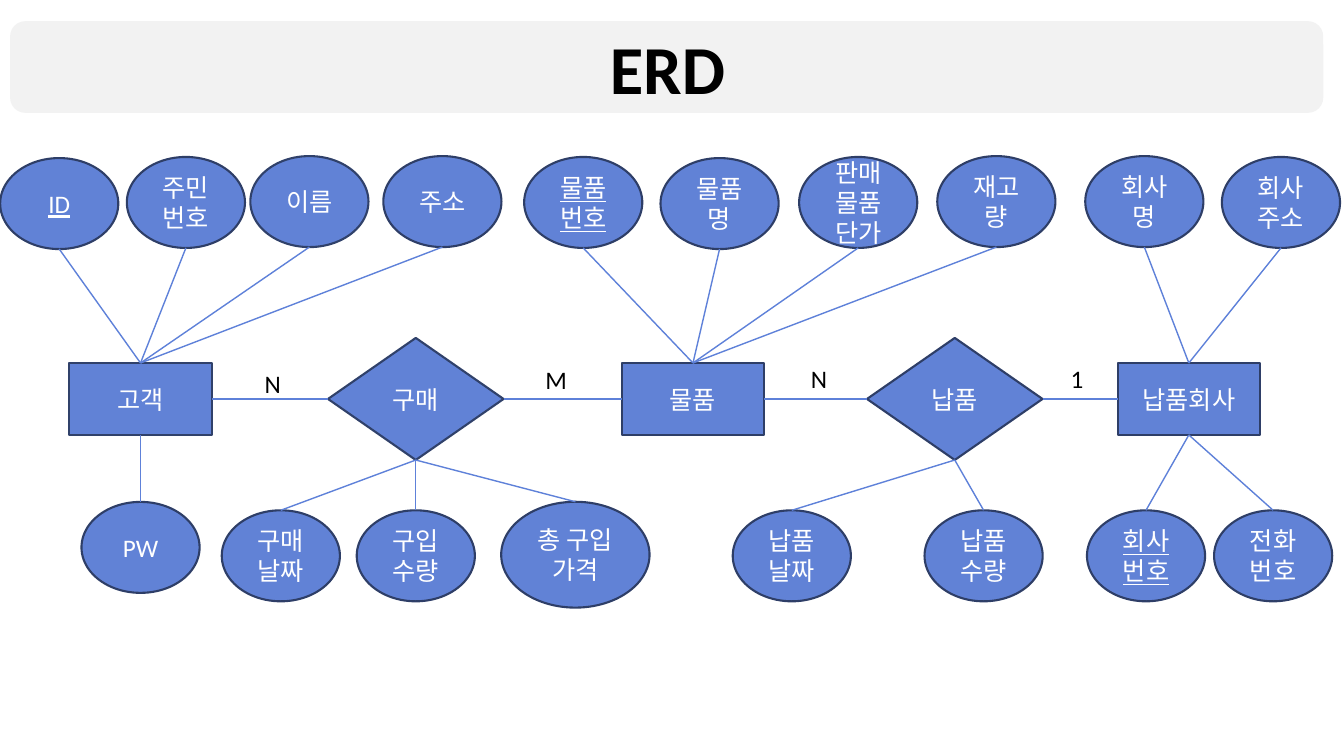
from pptx import Presentation
from pptx import util as u
from pptx.dml.color import RGBColor
from pptx.enum import shapes, text
from lxml import etree

Pt = u.Pt
KIND = shapes.MSO_SHAPE
TOP, LEFT, BOTTOM, RIGHT = range(4)
BLUE, EDGE, LINK = "6182D6", "2E3E67", "5E81D9"
AXIS_Y = 285

deck = Presentation()
deck.slide_width, deck.slide_height = Pt(960), Pt(540)
slide = deck.slides.add_slide(deck.slide_layouts[6])


def rgb(value):
    return RGBColor.from_string(value)


def write(frame, words, size=18, color="FFFFFF", bold=False, underline=False,
          anchor=text.MSO_ANCHOR.MIDDLE, grow=False):
    frame.word_wrap = True
    frame.vertical_anchor = anchor
    if grow:
        frame.auto_size = text.MSO_AUTO_SIZE.SHAPE_TO_FIT_TEXT
    line = frame.paragraphs[0]
    line.alignment = text.PP_ALIGN.CENTER
    run = line.add_run()
    run.text = words
    run.font.name = "Calibri"
    run.font.size = Pt(size)
    run.font.bold = bold
    run.font.underline = underline
    run.font.color.rgb = rgb(color)


banner = slide.shapes.add_shape(KIND.ROUNDED_RECTANGLE, Pt(7.2), Pt(15.1), Pt(938), Pt(65.5))
banner.shadow.inherit = False
banner.fill.solid()
banner.fill.fore_color.rgb = rgb("F2F2F2")
banner.line.fill.background()

nodes = [
    (KIND.RECTANGLE, "고객", 100.4, AXIS_Y, 101.6, 51.4),
    (KIND.FLOWCHART_DECISION, "구매", 297, AXIS_Y, 125.4, 87.2),
    (KIND.RECTANGLE, "물품", 495, AXIS_Y, 101.6, 51.4),
    (KIND.FLOWCHART_DECISION, "납품", 682, AXIS_Y, 125.4, 87.2),
    (KIND.RECTANGLE, "납품회사", 849.2, AXIS_Y, 101.6, 51.4),
]
chain = [node[1] for node in nodes]

attributes = [
    ("고객", "ID", 42.3, 145.4), ("고객", "주민번호", 132.8, 144.6),
    ("고객", "이름", 221, 144), ("고객", "주소", 316, 144),
    ("물품", "물품번호", 416.6, 144.6), ("물품", "물품명", 514, 145.4),
    ("물품", "판매물품단가", 613, 144.6), ("물품", "재고량", 711.7, 144),
    ("납품회사", "회사명", 817.4, 144), ("납품회사", "회사주소", 915, 144.6),
    ("고객", "PW", 100.4, 391), ("구매", "구매날짜", 200.6, 397),
    ("구매", "구입수량", 297, 397), ("구매", "총 구입 가격", 411, 396.2),
    ("납품", "납품날짜", 565.6, 397), ("납품", "납품수량", 702.6, 397),
    ("납품회사", "회사번호", 818.6, 397), ("납품회사", "전화번호", 909.4, 397),
]
oval_sizes = {"총 구입 가격": (106, 75.6)}
keys = {"ID", "물품번호", "회사번호"}
lighter_edges = {"고객", "구매", "이름"}

for owner, name, x, y in attributes:
    nodes.append((KIND.OVAL, name, x, y, *oval_sizes.get(name, (84.4, 65))))

placed = {}
for kind, name, x, y, width, height in nodes:
    node = slide.shapes.add_shape(kind, Pt(x - width / 2), Pt(y - height / 2), Pt(width), Pt(height))
    node.shadow.inherit = False
    node.fill.solid()
    node.fill.fore_color.rgb = rgb(BLUE)
    node.line.color.rgb = rgb("30416A" if name in lighter_edges else EDGE)
    node.line.width = Pt(1.5)
    write(node.text_frame, name, underline=name in keys)
    placed[name] = node

links = [(a, RIGHT, b, LEFT) for a, b in zip(chain, chain[1:])]
for owner, name, x, y in attributes:
    links.append((owner, TOP, name, BOTTOM) if y < AXIS_Y else (owner, BOTTOM, name, TOP))

for source, exit_side, target, entry_side in links:
    end = placed[target]
    link = slide.shapes.add_connector(
        shapes.MSO_CONNECTOR.STRAIGHT, 0, 0, end.left + end.width // 2, end.top + end.height)
    link.begin_connect(placed[source], exit_side)
    if entry_side != BOTTOM:
        link.end_connect(end, entry_side)
    link.line.color.rgb = rgb(LINK)
    link.line.width = Pt(1)
    etree.SubElement(link._element.spPr, "{http://schemas.openxmlformats.org/drawingml/2006/main}effectLst")

for cardinality, left, top in [("N", 155.6, 259.4), ("M", 358, 257), ("N", 545.6, 255.6), ("1", 730, 255.6)]:
    label = slide.shapes.add_textbox(Pt(left), Pt(top), Pt(78.6), Pt(29))
    write(label.text_frame, cardinality, color="000000", anchor=text.MSO_ANCHOR.TOP, grow=True)

title = slide.shapes.add_textbox(Pt(16), Pt(15.1), Pt(921.6), Pt(65.5))
write(title.text_frame, "ERD", size=49, color="000000", bold=True, anchor=text.MSO_ANCHOR.TOP, grow=True)

deck.save("out.pptx")
